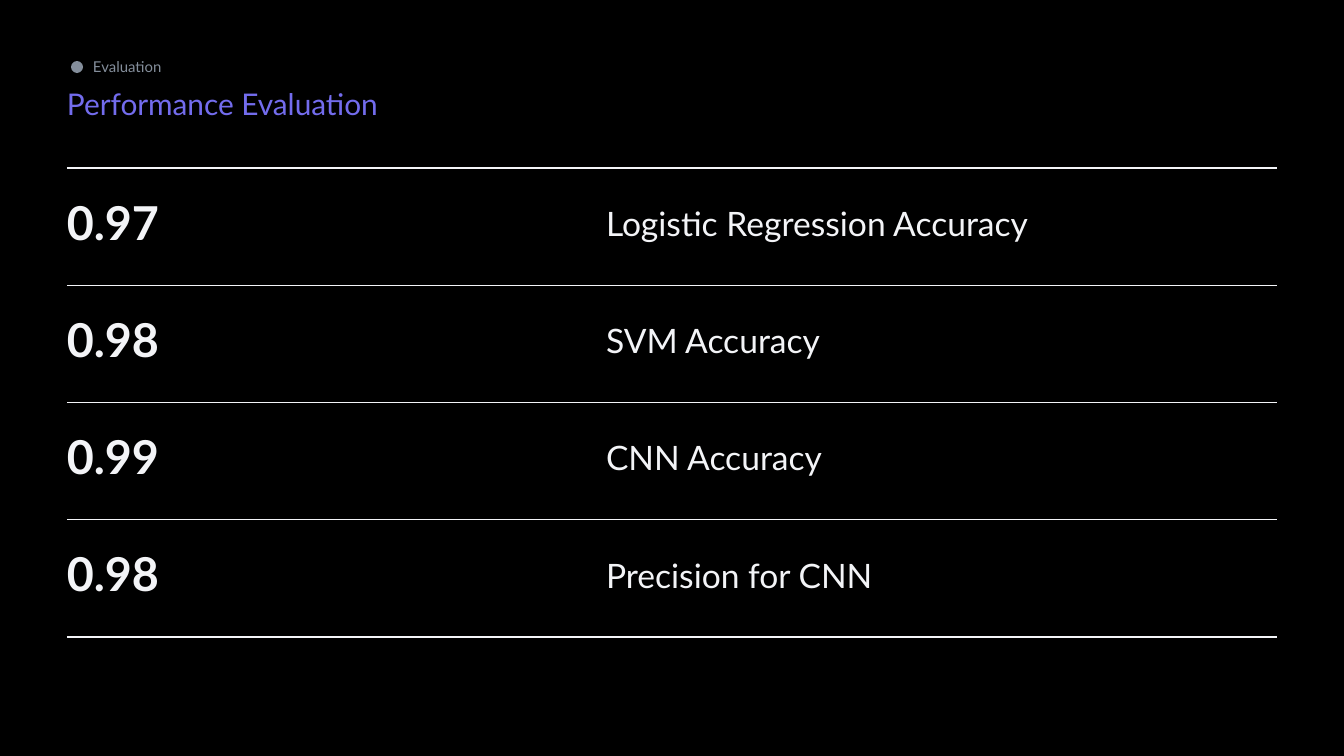
from lxml import etree
from pptx import Presentation
from pptx import util as u
from pptx.dml.color import RGBColor
from pptx.enum import shapes, text
from pptx.oxml.ns import qn

LIGHT, GREY, VIOLET = "F3F4F7", "848E9B", "736CED"
FONT = "Lato"
SCORES = [
    ("0.97", "Logistic Regression Accuracy"),
    ("0.98", "SVM Accuracy"),
    ("0.99", "CNN Accuracy"),
    ("0.98", "Precision for CNN"),
]


def px(n):
    """Turn px into EMU."""
    return u.Emu(round(n * 914400 / 134.4))


def paint(color, tint):
    """Set a colour from a hex string."""
    color.rgb = RGBColor.from_string(tint)


def write(shape, words, size, tint, pad=13, bold=False, lead=None, after=None,
          anchor=text.MSO_ANCHOR.MIDDLE):
    """Put one styled line of text in a shape."""
    frame = shape.text_frame
    frame.word_wrap = True
    frame.auto_size = text.MSO_AUTO_SIZE.NONE
    frame.vertical_anchor = anchor
    frame.margin_left = frame.margin_right = 0
    frame.margin_top = frame.margin_bottom = px(pad)
    para = frame.paragraphs[0]
    para.text = words
    para.alignment = text.PP_ALIGN.LEFT
    para.space_before = u.Pt(0)
    para.line_spacing, para.space_after = lead, after
    font = para.font
    font.name, font.size, font.bold = FONT, u.Pt(size), bold
    paint(font.color, tint)


def label(slide, x, y, w, h, words, size, tint, **style):
    """Add a text box."""
    box = slide.shapes.add_textbox(px(x), px(y), px(w), px(h))
    write(box, words, size, tint, **style)


def edge(cell, side, points):
    """Draw or clear one border of a cell."""
    line = etree.SubElement(cell._tc.get_or_add_tcPr(), qn(f"a:ln{side}"),
                            w=str(u.Pt(points)))
    if points:
        fill = etree.SubElement(line, qn("a:solidFill"))
        etree.SubElement(fill, qn("a:srgbClr"), val=LIGHT)
    else:
        etree.SubElement(line, qn("a:noFill"))


def header(slide, x, y, w):
    """Place the section tag, its dot and the title."""
    label(slide, x + 26, y, 363, 47, "Evaluation", 8, GREY, pad=0)
    dot = slide.shapes.add_shape(shapes.MSO_SHAPE.OVAL, px(x + 4), px(y + 18),
                                 px(12), px(12))
    dot.shadow.inherit = False
    dot.fill.solid()
    paint(dot.fill.fore_color, GREY)
    dot.line.fill.background()
    title = slide.shapes.title
    title.left, title.top = px(x), px(y + 35)
    title.width, title.height = px(w), px(56)
    write(title, "Performance Evaluation", 16, VIOLET, lead=0.75,
          anchor=text.MSO_ANCHOR.BOTTOM)


def rules(slide, x, y, w, h):
    """Place the ruled table behind the scores."""
    count = len(SCORES)
    table = slide.shapes.add_table(count, 2, px(x), px(y), px(w), px(h)).table
    table.first_row = table.horz_banding = False
    table.columns[0].width, table.columns[1].width = px(305), px(w - 305)
    for i, row in enumerate(table.rows):
        row.height = px(h / count)
        for cell in row.cells:
            edge(cell, "L", 0)
            edge(cell, "R", 0)
            edge(cell, "T", 1.5 if i == 0 else 0.75)
            edge(cell, "B", 1.5 if i == count - 1 else 0.75)
            cell.fill.background()


def scores(slide, x, y, w, h):
    """Place each score and its name on the ruled rows."""
    rules(slide, x, y, w, h)
    step = h / len(SCORES)
    style = {"lead": 0.8, "after": u.Pt(10)}
    for i, (score, name) in enumerate(SCORES):
        top = y + i * step
        label(slide, x, top, 503, step, score, 25, LIGHT, bold=True, **style)
        label(slide, x + 539, top, w - 539, step, name, 18, LIGHT, **style)


def main():
    """Build and save the slide."""
    deck = Presentation()
    deck.slide_width, deck.slide_height = px(1344), px(756)
    slide = deck.slides.add_slide(deck.slide_layouts.get_by_name("Title Only"))
    slide.background.fill.solid()
    paint(slide.background.fill.fore_color, "000000")
    header(slide, 67, 43, 1144)
    scores(slide, 67, 168, 1210, 469)
    deck.save("out.pptx")


if __name__ == "__main__":
    main()
